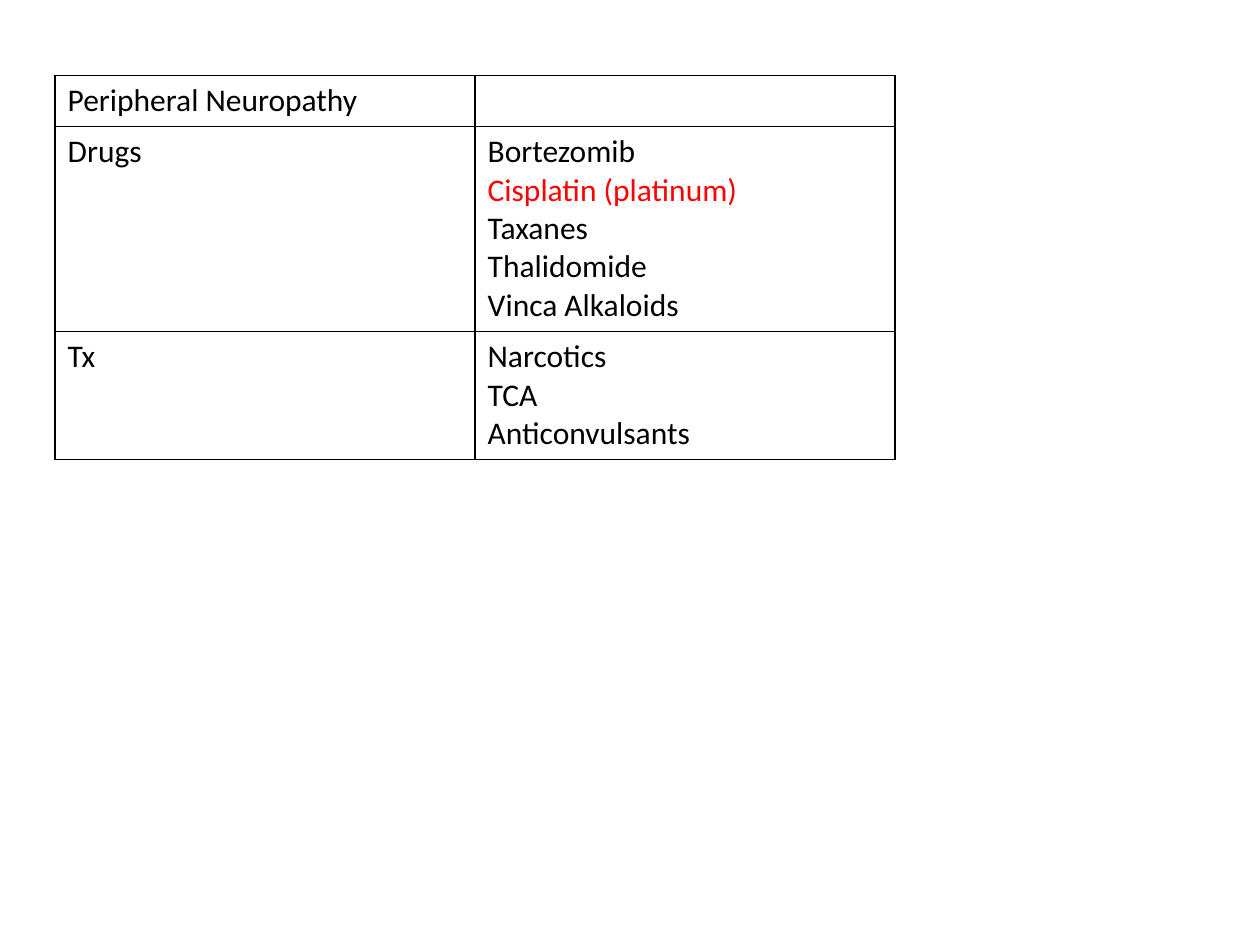
from lxml.etree import SubElement
from pptx import Presentation
from pptx.dml.color import RGBColor as RGB
from pptx.oxml.ns import qn
from pptx.util import Pt

COLORS = {"text": "000000", "alert": "FF0000", "line": "000000"}
FONT = {"name": "Calibri", "size": Pt(18)}
ALERTS = {"Cisplatin (platinum)"}
ROWS = [
    (["Peripheral Neuropathy"], []),
    (["Drugs"], ["Bortezomib", "Cisplatin (platinum)", "Taxanes",
                 "Thalidomide", "Vinca Alkaloids"]),
    (["Tx"], ["Narcotics", "TCA", "Anticonvulsants"]),
]
LINE, PAD = 22, 7.2  # height of a text line, top plus bottom cell margin


def add_borders(cell):
    props = cell._tc.get_or_add_tcPr()
    for side in ("lnL", "lnR", "lnT", "lnB"):
        edge = SubElement(props, qn(f"a:{side}"), w=str(Pt(1)))
        fill = SubElement(edge, qn("a:solidFill"))
        SubElement(fill, qn("a:srgbClr"), val=COLORS["line"])


def fill_cell(cell, lines):
    add_borders(cell)
    cell.fill.background()
    frame = cell.text_frame
    for i, line in enumerate(lines):
        par = frame.add_paragraph() if i else frame.paragraphs[0]
        run = par.add_run()
        run.text = line
        for key, value in FONT.items():
            setattr(run.font, key, value)
        color = COLORS["alert" if line in ALERTS else "text"]
        run.font.color.rgb = RGB.from_string(color)


def add_grid(slide, left, top, width):
    heights = [LINE * max(map(len, row)) + PAD for row in ROWS]
    frame = slide.shapes.add_table(len(ROWS), 2, Pt(left), Pt(top),
                                   Pt(width), Pt(sum(heights)))
    table = frame.table
    table.first_row = table.horz_banding = False
    for r, (row, height) in enumerate(zip(ROWS, heights)):
        table.rows[r].height = Pt(height)
        for c, lines in enumerate(row):
            fill_cell(table.cell(r, c), lines)


def main():
    deck = Presentation()
    deck.slide_width, deck.slide_height = Pt(720), Pt(540)
    slide = deck.slides.add_slide(deck.slide_layouts[6])
    add_grid(slide, 31.5, 43, 480)
    deck.save("out.pptx")


if __name__ == "__main__":
    main()
